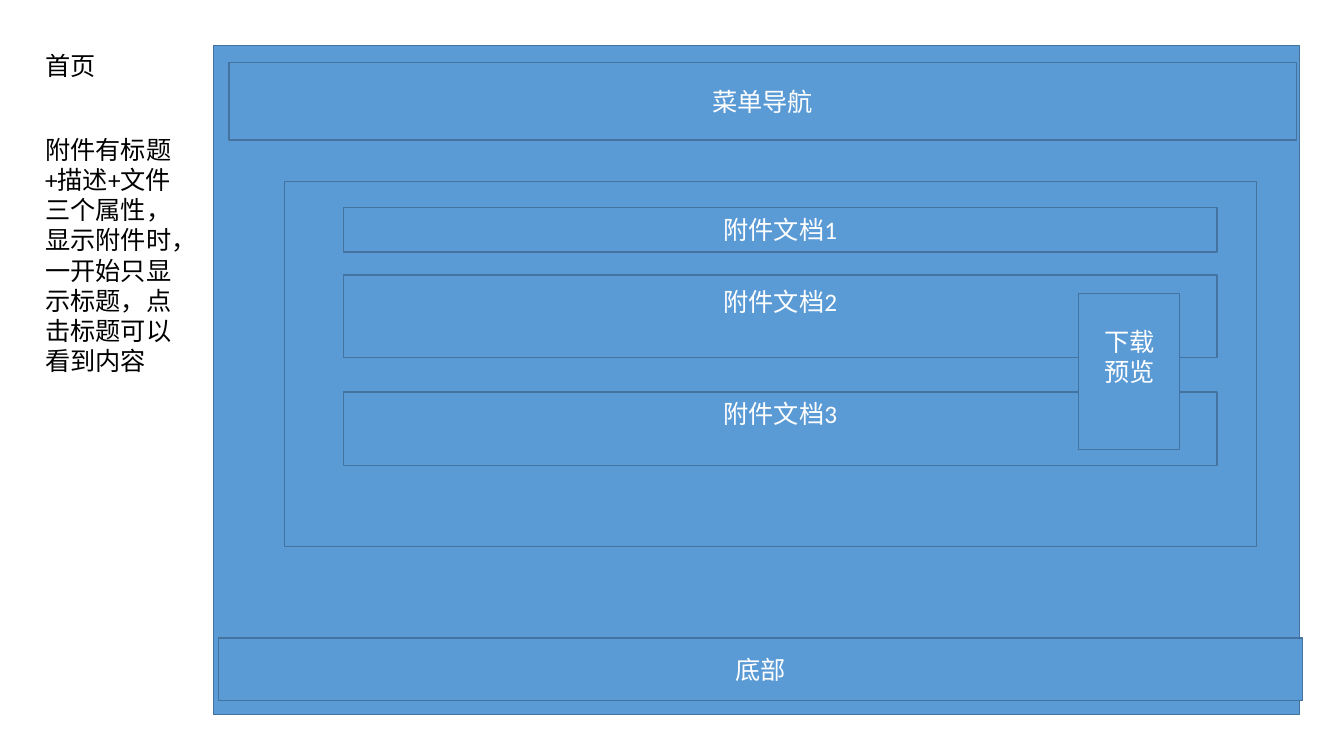
from dataclasses import dataclass

import pptx
import pptx.dml.color
import pptx.enum.shapes
import pptx.enum.text
import pptx.util
from pptx.util import Inches

FONT = "Calibri"
FILL, BORDER, WHITE, BLACK = "5B9BD5", "43739E", "FFFFFF", "000000"
LINE_HEIGHT = 0.3  # one 18 pt line, in inches


@dataclass
class Box:
    left: float
    top: float
    width: float
    height: float
    text: str = ""
    space_below: float = 0  # room kept free under the text


def color(value: str) -> pptx.dml.color.RGBColor:
    return pptx.dml.color.RGBColor.from_string(value)


def position(box: Box) -> list[int]:
    return [Inches(v) for v in (box.left, box.top, box.width, box.height)]


def write(tf, text: str, font_color: str, align) -> None:
    tf.word_wrap = True
    tf.text = text
    for p in tf.paragraphs:
        p.alignment = align
        for r in p.runs:
            r.font.name = FONT
            r.font.size = pptx.util.Pt(18)
            r.font.color.rgb = color(font_color)


def add_panel(s, box: Box) -> None:
    sp = s.shapes.add_shape(
        pptx.enum.shapes.MSO_SHAPE.RECTANGLE, *position(box))
    sp.shadow.inherit = False
    sp.fill.solid()
    sp.fill.fore_color.rgb = color(FILL)
    sp.line.color.rgb = color(BORDER)
    sp.line.width = pptx.util.Pt(1)
    if box.text:
        tf = sp.text_frame
        tf.vertical_anchor = pptx.enum.text.MSO_ANCHOR.MIDDLE
        tf.margin_bottom = Inches(0.05 + box.space_below)
        write(tf, box.text, WHITE, pptx.enum.text.PP_ALIGN.CENTER)


def add_note(s, box: Box) -> None:
    tf = s.shapes.add_textbox(*position(box)).text_frame
    write(tf, box.text, BLACK, pptx.enum.text.PP_ALIGN.LEFT)
    tf.auto_size = pptx.enum.text.MSO_AUTO_SIZE.SHAPE_TO_FIT_TEXT


prs = pptx.Presentation()
prs.slide_width, prs.slide_height = Inches(13.33), Inches(7.5)
s = prs.slides.add_slide(prs.slide_layouts[6])

# Page wireframe, from back to front
page = Box(2.12, 0.45, 10.77, 6.64)
menu = Box(2.27, 0.62, 10.59, 0.77, "菜单导航")
content = Box(2.82, 1.8, 9.64, 3.62)
documents = [
    Box(3.41, top, 8.66, height, f"附件文档{number}", space)
    for number, (top, height, space) in enumerate(
        [(2.06, 0.44, 0), (2.73, 0.82, LINE_HEIGHT), (3.89, 0.73, LINE_HEIGHT)],
        start=1)
]
footer = Box(2.17, 6.33, 10.75, 0.62, "底部")
actions = Box(10.7, 2.91, 1, 1.55, "下载\n预览", LINE_HEIGHT)
for panel in (page, menu, content, *documents, footer, actions):
    add_panel(s, panel)

# Page title and explanation
add_note(s, Box(0.35, 0.45, 1.59, 0.4, "首页"))
add_note(s, Box(0.35, 1.28, 1.52, 2.52,
                "附件有标题+描述+文件三个属性，显示附件时，"
                "一开始只显示标题，点击标题可以看到内容"))

prs.save("out.pptx")
